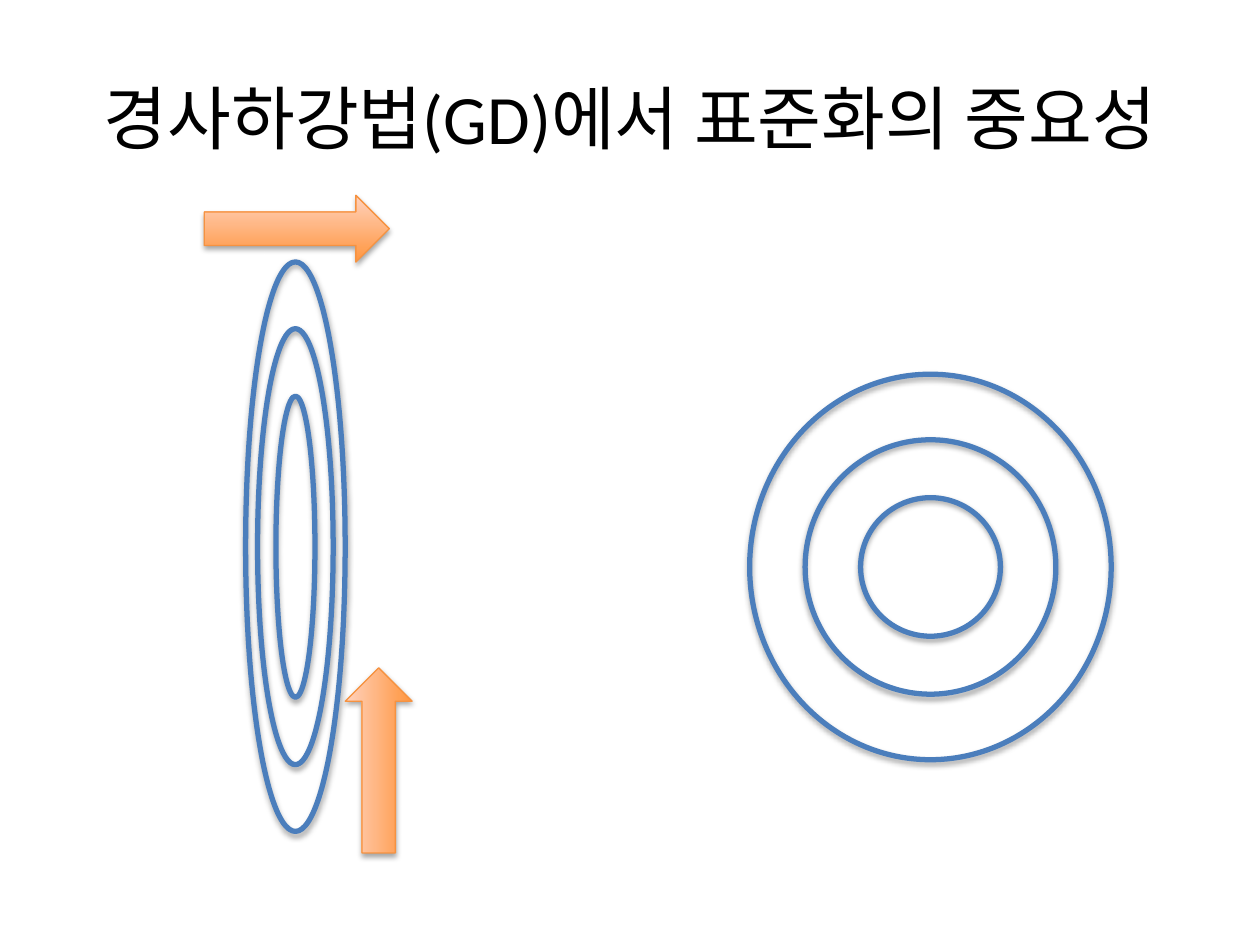
"""Build a slide on why standardization matters for gradient descent."""
from dataclasses import dataclass

from lxml.etree import SubElement
from pptx import Presentation
from pptx.dml.color import RGBColor
from pptx.enum.shapes import MSO_SHAPE
from pptx.enum.text import MSO_ANCHOR, MSO_AUTO_SIZE, PP_ALIGN
from pptx.oxml.ns import qn
from pptx.util import Pt

TITLE = "경사하강법(GD)에서 표준화의 중요성"
TITLE_BOX = (36, 21.6, 648, 90)
CONTOURS = [
    {"center": (168.8, 312.4), "sizes": [(22.3, 172.1), (43.2, 249.1), (56.9, 325.4)]},
    {"center": (531.7, 324), "sizes": [(79.9, 79.2), (143.3, 145.4), (206.6, 220.3)]},
]
ARROW_SIZE = (105.8, 38.2)
ARROWS = [((169.6, 130.7), 0), ((216.4, 434.5), 270)]


@dataclass(frozen=True)
class Theme:
    font: str = "Calibri"
    title_size: float = 39.6
    text: str = "000000"
    contour: str = "4B7EBC"
    contour_width: float = 3
    arrow_line: str = "F69240"
    arrow_width: float = 0.75
    arrow_stops: tuple = ("FF953E", "FFD2BD")
    shadow: str = "000000"


THEME = Theme()


def rgb(value):
    return RGBColor.from_string(value)


def add_shadow(sp):
    sp.shadow.inherit = False
    effects = sp._element.spPr.find(qn("a:effectLst"))
    shadow = SubElement(effects, qn("a:outerShdw"), blurRad=str(Pt(3.15)),
                        dist=str(Pt(1.81)), dir="5400000", rotWithShape="0")
    color = SubElement(shadow, qn("a:srgbClr"), val=THEME.shadow)
    SubElement(color, qn("a:alpha"), val="35000")


def add_centered(s, kind, center, size, color, width):
    (x, y), (w, h) = center, size
    sp = s.shapes.add_shape(kind, Pt(x - w / 2), Pt(y - h / 2), Pt(w), Pt(h))
    sp.line.color.rgb = rgb(color)
    sp.line.width = Pt(width)
    add_shadow(sp)
    return sp


prs = Presentation()
prs.slide_width, prs.slide_height = Pt(720), Pt(540)
s = prs.slides.add_slide(prs.slide_layouts[5])

title = s.shapes.title
title.left, title.top, title.width, title.height = map(Pt, TITLE_BOX)
tf = title.text_frame
tf.text = TITLE
tf.word_wrap = True
tf.auto_size = MSO_AUTO_SIZE.NONE
tf.vertical_anchor = MSO_ANCHOR.MIDDLE
p = tf.paragraphs[0]
p.alignment = PP_ALIGN.CENTER
p.font.name = THEME.font
p.font.size = Pt(THEME.title_size)
p.font.color.rgb = rgb(THEME.text)

for contour in CONTOURS:
    for size in contour["sizes"]:
        ring = add_centered(s, MSO_SHAPE.OVAL, contour["center"], size,
                            THEME.contour, THEME.contour_width)
        ring.fill.background()

for center, rotation in ARROWS:
    arrow = add_centered(s, MSO_SHAPE.RIGHT_ARROW, center, ARROW_SIZE,
                         THEME.arrow_line, THEME.arrow_width)
    arrow.rotation = rotation
    arrow.fill.gradient()
    arrow.fill.gradient_angle = 90
    for stop, color in zip(arrow.fill.gradient_stops, THEME.arrow_stops):
        stop.color.rgb = rgb(color)

prs.save("out.pptx")
